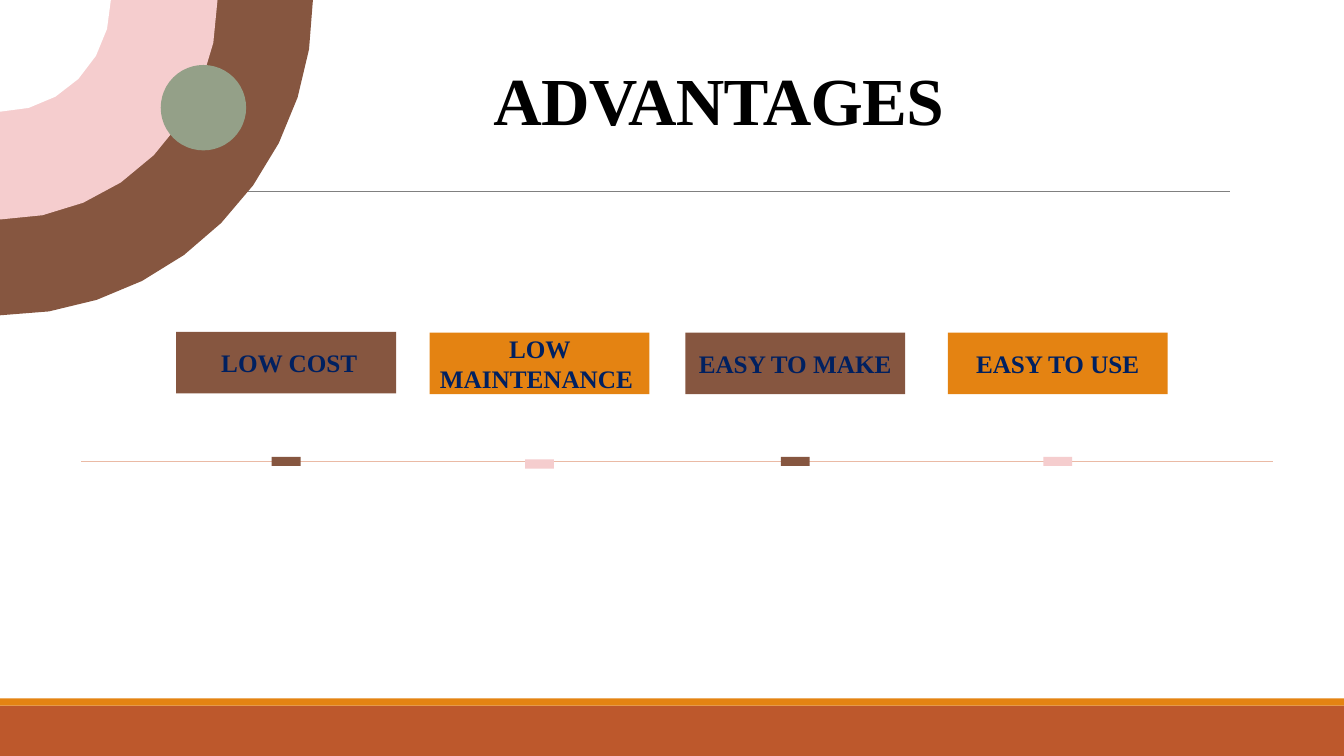
"""Build the Advantages slide with its four labelled timeline markers."""
import math
from dataclasses import dataclass

from lxml import etree
from pptx import Presentation
from pptx import util as u
from pptx.dml.color import RGBColor
from pptx.enum import shapes, text
from pptx.oxml import ns


@dataclass(frozen=True)
class Theme:
    """Colours, font and type sizes of the slide."""
    brown: str = "865640"
    orange: str = "E48312"
    rust: str = "BD582C"
    pink: str = "F5CDCE"
    sage: str = "94A088"
    white: str = "FFFFFF"
    black: str = "000000"
    navy: str = "002060"
    grey: str = "808080"
    peach: str = "EABAA5"
    font: str = "Times New Roman"
    title_size: float = 48
    label_size: float = 18


THEME = Theme()


@dataclass(frozen=True)
class Box:
    """A rectangle in points."""
    left: float
    top: float
    width: float
    height: float

    def lengths(self) -> list:
        """Return the four values as lengths."""
        return [u.Pt(v) for v in (self.left, self.top, self.width, self.height)]


@dataclass(frozen=True)
class Rule:
    """A horizontal line."""
    left: float
    right: float
    y: float
    color: str
    weight: float


@dataclass(frozen=True)
class QuarterDisc:
    """A quarter disc centred on the top left corner."""
    width: float
    height: float
    steps: int
    color: str


@dataclass(frozen=True)
class Advantage:
    """A label and the timeline marker centred under it."""
    label: str
    center: float
    fill: str
    marker_fill: str
    label_top: float = 237.6
    marker_top: float = 319.3
    space_before: float = 0


BANDS = [
    (Box(0, 504, 960, 36), THEME.rust),
    (Box(0, 498.96, 960, 5.04), THEME.orange),
]
TITLE_RULE = Rule(94, 878.6, 136.8, THEME.grey, 0.5)
TIMELINE = Rule(57.9, 909.1, 329.76, THEME.peach, 1)
QUARTER_DISCS = [
    QuarterDisc(223.5, 225.2, 10, THEME.brown),
    QuarterDisc(155.4, 156.8, 8, THEME.pink),
    QuarterDisc(79.2, 79.8, 6, THEME.white),
]
DOT = Box(114.84, 46.44, 61, 61)
TITLE_BOX = Box(135.2, 28.8, 756, 82.8)
LABEL_SIZE = (157, 44)
MARKER_SIZE = (6.5, 20.6)
ADVANTAGES = [
    Advantage(" LOW COST", 204.4, THEME.brown, THEME.brown,
              label_top=237, space_before=0.6),
    Advantage("LOW MAINTENANCE ", 385.4, THEME.orange, THEME.pink, marker_top=321.12),
    Advantage(" EASY TO MAKE ", 568, THEME.brown, THEME.brown),
    Advantage("EASY TO USE", 755.5, THEME.orange, THEME.pink),
]


def apply(target, values: dict) -> None:
    """Set every attribute in values on target."""
    for name, value in values.items():
        setattr(target, name, value)


def paint(shape, color: str) -> None:
    """Give shape a plain fill with no line or shadow."""
    shape.shadow.inherit = False
    shape.fill.solid()
    shape.fill.fore_color.rgb = RGBColor.from_string(color)
    shape.line.fill.background()


def add_block(slide, box: Box, color: str, kind=shapes.MSO_SHAPE.RECTANGLE):
    """Add a filled preset shape."""
    shape = slide.shapes.add_shape(kind, *box.lengths())
    paint(shape, color)
    return shape


def add_rule(slide, rule: Rule) -> None:
    """Add a horizontal line without shadow."""
    connector = slide.shapes.add_connector(
        shapes.MSO_CONNECTOR.STRAIGHT,
        u.Pt(rule.left), u.Pt(rule.y), u.Pt(rule.right), u.Pt(rule.y))
    connector.line.width = u.Pt(rule.weight)
    connector.line.color.rgb = RGBColor.from_string(rule.color)
    etree.SubElement(connector._element.spPr, ns.qn("a:effectLst"))


def add_quarter_disc(slide, disc: QuarterDisc) -> None:
    """Add a quarter disc as a freeform."""
    angles = [math.pi / 2 * step / disc.steps for step in range(disc.steps + 1)]
    arc = [(u.Pt(disc.width * math.cos(a)), u.Pt(disc.height * math.sin(a)))
           for a in angles]
    builder = slide.shapes.build_freeform(0, 0)
    builder.add_line_segments(arc, close=True)
    paint(builder.convert_to_shape(), disc.color)


def write(shape, wording: str, size: float, color: str, frame: dict, spacing: dict):
    """Write one centred bold paragraph and return its run."""
    apply(shape.text_frame, {
        "word_wrap": True, "vertical_anchor": text.MSO_ANCHOR.MIDDLE, **frame})
    paragraph = shape.text_frame.paragraphs[0]
    apply(paragraph, {"alignment": text.PP_ALIGN.CENTER, **spacing})
    run = paragraph.add_run()
    run.text = wording
    apply(run.font, {"name": THEME.font, "size": u.Pt(size), "bold": True})
    run.font.color.rgb = RGBColor.from_string(color)
    return run


def add_title(slide) -> None:
    """Add the slide title with slightly tightened letters."""
    shape = slide.shapes.add_textbox(*TITLE_BOX.lengths())
    run = write(shape, "ADVANTAGES", THEME.title_size, THEME.black, {}, {})
    run._r.get_or_add_rPr().set("spc", "-50")


def add_label(slide, advantage: Advantage) -> None:
    """Add the coloured label of an advantage."""
    width, height = LABEL_SIZE
    box = Box(advantage.center - width / 2, advantage.label_top, width, height)
    shape = add_block(slide, box, advantage.fill)
    margins = {f"margin_{side}": 0 for side in ("left", "top", "right", "bottom")}
    spacing = {"space_before": u.Pt(advantage.space_before), "space_after": u.Pt(2)}
    write(shape, advantage.label, THEME.label_size, THEME.navy, margins, spacing)


def add_marker(slide, advantage: Advantage) -> None:
    """Add the timeline marker of an advantage."""
    width, height = MARKER_SIZE
    box = Box(advantage.center - width / 2, advantage.marker_top, width, height)
    add_block(slide, box, advantage.marker_fill).rotation = 270


def main() -> None:
    """Build and save the presentation."""
    presentation = Presentation()
    apply(presentation, {"slide_width": u.Pt(960), "slide_height": u.Pt(540)})
    slide = presentation.slides.add_slide(presentation.slide_layouts[6])
    for box, color in BANDS:
        add_block(slide, box, color)
    add_rule(slide, TITLE_RULE)
    for disc in QUARTER_DISCS:
        add_quarter_disc(slide, disc)
    add_block(slide, DOT, THEME.sage, shapes.MSO_SHAPE.OVAL)
    add_rule(slide, TIMELINE)
    add_title(slide)
    for add_part in (add_label, add_marker):
        for advantage in ADVANTAGES:
            add_part(slide, advantage)
    presentation.save("out.pptx")


if __name__ == "__main__":
    main()
